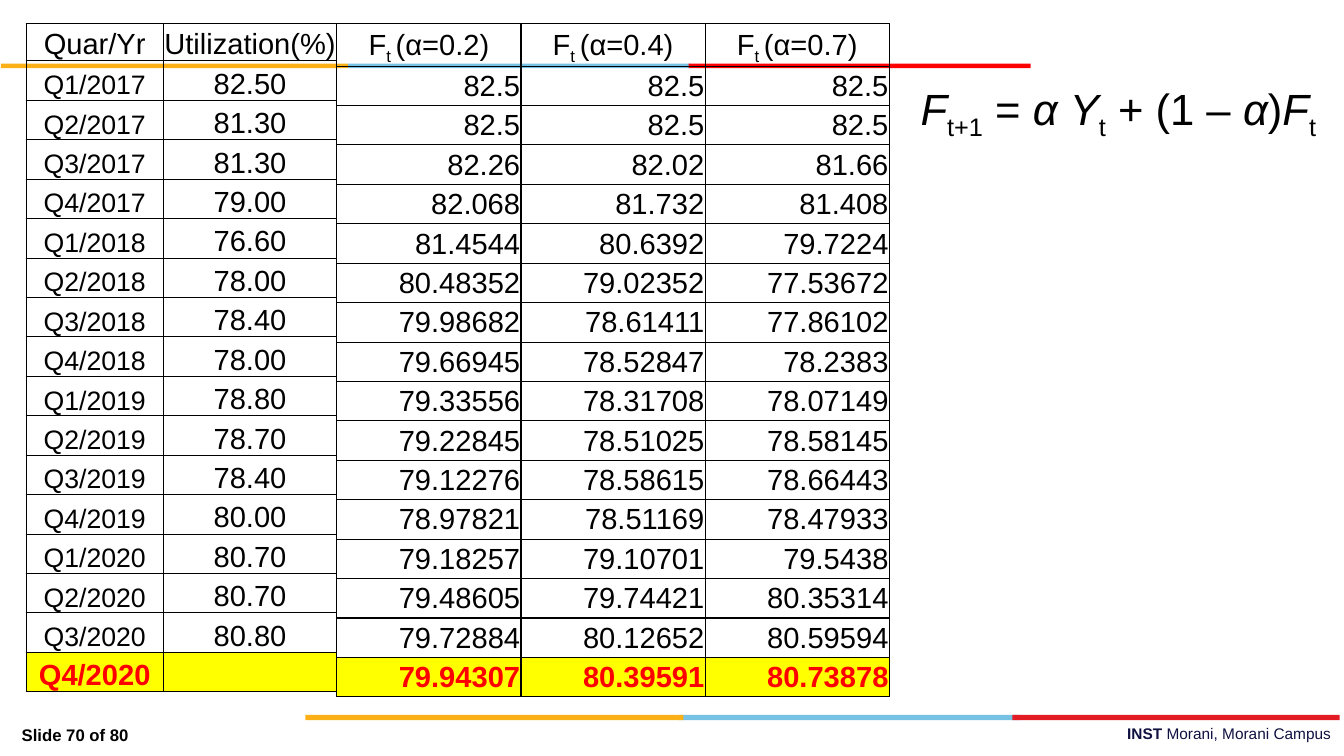
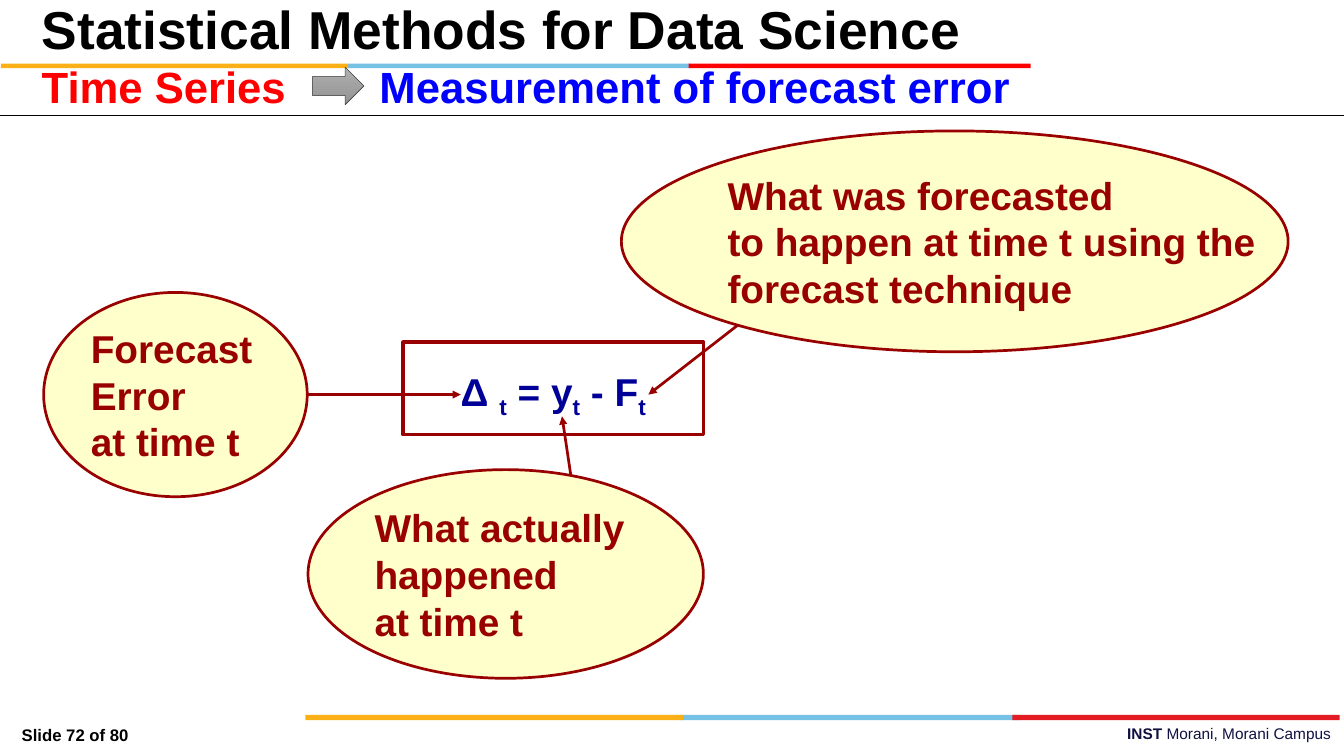
from lxml import etree
from pptx import Presentation
from pptx.dml.color import RGBColor
from pptx.enum.shapes import MSO_CONNECTOR, MSO_SHAPE
from pptx.enum.text import MSO_ANCHOR, MSO_AUTO_SIZE, PP_ALIGN
from pptx.oxml.ns import qn
from pptx.util import Inches, Pt

LEFT, CENTER, RIGHT = PP_ALIGN.LEFT, PP_ALIGN.CENTER, PP_ALIGN.RIGHT
TOP, MIDDLE, BOTTOM = MSO_ANCHOR.TOP, MSO_ANCHOR.MIDDLE, MSO_ANCHOR.BOTTOM
RECT, ELLIPSE, ARROW = MSO_SHAPE.RECTANGLE, MSO_SHAPE.OVAL, MSO_SHAPE.RIGHT_ARROW
STRAIGHT = MSO_CONNECTOR.STRAIGHT
NO_FIT = MSO_AUTO_SIZE.NONE

WIDTH, HEIGHT = 15.4, 8.66
TABLE_TOP, TABLE_HEIGHT, HEAD_HEIGHT = 0.27, 7.65, 0.42
FONT = "Arial"
BLACK, WHITE, RED, BLUE = "000000", "FFFFFF", "FF0000", "0000FF"
GOLD, SKY, CRIMSON, NAVY = "FCB017", "76C2E5", "E31C24", "101141"
MAROON, CREAM, INK, YELLOW = "990000", "FFFFCC", "000099", "FFFF00"
SILVER, GRAY, CHARCOAL = "AFAFAF", "939393", "404040"

BANDS = [
    (0.73, 0.05, [(3.99, 3.92, SKY), (0.01, 3.98, GOLD), (7.89, 3.92, RED)]),
    (8.19, 0.06, [(7.78, 3.91, SKY), (11.6, 3.75, CRIMSON), (3.5, 4.33, GOLD)]),
]
CAMPUS = [("INST ", "b"), ("Morani, Morani Campus", "")]

UTILIZATION = [82.5, 81.3, 81.3, 79, 76.6, 78, 78.4, 78, 78.8, 78.7, 78.4,
               80, 80.7, 80.7, 80.8]
QUARTERS = [f"Q{q}/{year}" for year in range(2017, 2021) for q in range(1, 5)]
ALPHAS = [0.2, 0.4, 0.7]
SMOOTHING = [("F", "i"), ("t+1", "s"), (" = ", ""), ("α Y", "i"), ("t", "s"),
             (" + (1 – ", ""), ("α", "i"), (")", ""), ("F", "i"), ("t", "s")]

COURSE = "Statistical Methods for Data Science"
TOPIC = [("Time Series", 0.38, 3.28, RED),
         ("Measurement of forecast error", 4.25, 10.8, BLUE)]
ERROR = [("Δ ", "b"), ("t", "bs"), (" = y", "b"), ("t", "bs"), (" - F", "b"), ("t", "bs")]
CALLOUTS = [
    (["What actually", "happened", "at time t"],
     (3.53, 5.38, 4.53, 2.39), (6.54, 5.44), (6.44, 4.77)),
    (["What was forecasted", "to happen at time t using the", "forecast technique"],
     (7.12, 1.5, 7.64, 2.53), (8.73, 3.51), (7.43, 4.52)),
    (["Forecast", "Error", "at time t"],
     (0.5, 3.35, 3.02, 2.34), (3.53, 4.52), (5.28, 4.52)),
]


def rgb(value):
    return RGBColor.from_string(value)


def box(left, top, width, height):
    return [Inches(n) for n in (left, top, width, height)]


def write(paragraph, runs, size, color, align=LEFT):
    paragraph.alignment = align
    for text, marks in runs:
        run = paragraph.add_run()
        run.text = text
        font = run.font
        font.name, font.size = FONT, Pt(size)
        font.bold, font.italic = "b" in marks, "i" in marks
        font.color.rgb = rgb(color)
        if "s" in marks:
            run._r.get_or_add_rPr().set("baseline", "-25000")


def add_text(slide, place, runs, size, color, align=LEFT):
    frame = slide.shapes.add_textbox(*box(*place)).text_frame
    frame.word_wrap = True
    write(frame.paragraphs[0], runs, size, color, align)


def add_figure(slide, kind, place, fill, line=None, weight=0):
    figure = slide.shapes.add_shape(kind, *box(*place))
    figure.shadow.inherit = False
    figure.fill.solid()
    figure.fill.fore_color.rgb = rgb(fill)
    if line:
        figure.line.color.rgb = rgb(line)
        figure.line.width = Pt(weight)
    else:
        figure.line.fill.background()
    return figure


def add_rule(slide, start, end, color, weight, arrow=False):
    rule = slide.shapes.add_connector(STRAIGHT, *box(*start, *end))
    rule.line.color.rgb = rgb(color)
    rule.line.width = Pt(weight)
    if arrow:
        etree.SubElement(rule.line._get_or_add_ln(), qn("a:tailEnd"), type="triangle")
    etree.SubElement(rule._element.spPr, qn("a:effectLst"))


def add_furniture(slide, number):
    for top, height, parts in BANDS:
        for left, width, color in parts:
            add_figure(slide, RECT, (left, top, width, height), color)
    add_text(slide, (5.5, 8.24, 9.85, 0.31), CAMPUS, 12.7, NAVY, RIGHT)
    add_text(slide, (0.15, 8.25, 2.53, 0.31), [(f"Slide {number} of 80", "b")], 13.8, BLACK)


def outline(cell):
    props = cell._tc.get_or_add_tcPr()
    for side in ("a:lnL", "a:lnR", "a:lnT", "a:lnB"):
        border = etree.SubElement(props, qn(side), w=str(Pt(1)))
        paint = etree.SubElement(border, qn("a:solidFill"))
        etree.SubElement(paint, qn("a:srgbClr"), val=BLACK)


def add_columns(slide, left, columns):
    rows = len(QUARTERS) + 1
    body_height = (TABLE_HEIGHT - HEAD_HEIGHT) / len(QUARTERS)
    place = box(left, TABLE_TOP, sum(column["width"] for column in columns), TABLE_HEIGHT)
    table = slide.shapes.add_table(rows, len(columns), *place).table
    table.first_row = table.horz_banding = False
    for r, row in enumerate(table.rows):
        row.height = Inches(body_height if r else HEAD_HEIGHT)
    for c, column in enumerate(columns):
        table.columns[c].width = Inches(column["width"])
        for r, value in enumerate([column["head"]] + column["values"]):
            header, forecast = r == 0, r == rows - 1
            cell = table.cell(r, c)
            outline(cell)
            inset = 0 if header else column["inset"]
            cell.margin_left = cell.margin_right = cell.margin_top = Inches(inset)
            cell.margin_bottom = 0
            cell.vertical_anchor = BOTTOM if header else column["anchor"]
            if forecast:
                cell.fill.solid()
                cell.fill.fore_color.rgb = rgb(YELLOW)
            else:
                cell.fill.background()
            paragraph = cell.text_frame.paragraphs[0]
            if header or column["spaced"] or (forecast and column["anchor"] == BOTTOM):
                paragraph.line_spacing, paragraph.space_after = 1.07, Pt(8)
            if value:
                runs = value if header else [(value, "b" if forecast else "")]
                write(paragraph, runs, 24 if header or forecast else column["size"],
                      RED if forecast else BLACK, CENTER if header else column["align"])


def smooth(alpha):
    forecasts = UTILIZATION[:1]
    for actual in UTILIZATION:
        forecasts.append(alpha * actual + (1 - alpha) * forecasts[-1])
    return [str(round(forecast, 5)) for forecast in forecasts]


def build_forecast_table(deck):
    slide = deck.slides.add_slide(deck.slide_layouts[6])
    add_furniture(slide, 70)
    add_columns(slide, 0.3, [
        dict(head=[("Quar/Yr", "")], values=QUARTERS, width=1.57, size=22,
             align=CENTER, anchor=BOTTOM, inset=0, spaced=False),
        dict(head=[("Utilization(%)", "")], values=[f"{y:.2f}" for y in UTILIZATION] + [""],
             width=1.99, size=24, align=CENTER, anchor=BOTTOM, inset=0.01, spaced=True),
    ])
    for i, alpha in enumerate(ALPHAS):
        head = [("F", ""), ("t ", "s"), (f"(α={alpha})", "")]
        add_columns(slide, 3.86 + i * 2.11, [
            dict(head=head, values=smooth(alpha), width=2.11, size=24,
                 align=RIGHT, anchor=MIDDLE, inset=0.01, spaced=False)])
    add_text(slide, (10.45, 0.89, 4.9, 0.71), SMOOTHING, 36, BLACK)


def build_forecast_error(deck):
    slide = deck.slides.add_slide(deck.slide_layouts[5])
    add_furniture(slide, 72)

    formula = add_figure(slide, RECT, (4.62, 3.92, 3.44, 1.06), WHITE, MAROON, 3).text_frame
    formula.word_wrap = False
    formula.vertical_anchor = MIDDLE
    formula.margin_top = Inches(0.17)
    write(formula.paragraphs[0], ERROR, 32, INK, CENTER)

    for lines, place, start, end in CALLOUTS:
        add_rule(slide, start, end, MAROON, 2.25, arrow=True)
        frame = add_figure(slide, ELLIPSE, place, CREAM, MAROON, 2.25).text_frame
        frame.word_wrap = False
        frame.vertical_anchor = MIDDLE
        for i, text in enumerate(lines):
            paragraph = frame.add_paragraph() if i else frame.paragraphs[0]
            write(paragraph, [(text, "b")], 32, MAROON)

    for text, left, width, color in TOPIC:
        add_text(slide, (left, 0.64, width, 0.66), [(text, "b")], 36, color)
    pointer = add_figure(slide, ARROW, (3.58, 0.77, 0.59, 0.43), SILVER, CHARCOAL, 0.5)
    pointer.fill.gradient()
    pointer.fill.gradient_angle = 270
    for stop, color in zip(pointer.fill.gradient_stops, (SILVER, GRAY)):
        stop.color.rgb = rgb(color)

    title = slide.shapes.title
    title.left, title.top, title.width, title.height = box(0.38, 0, 12.66, 0.68)
    frame = title.text_frame
    frame.auto_size, frame.word_wrap, frame.vertical_anchor = NO_FIT, True, TOP
    frame.margin_top = Inches(0.04)
    frame.paragraphs[0].line_spacing = 0.9
    write(frame.paragraphs[0], [(COURSE, "b")], 44, BLACK)
    add_rule(slide, (0, 1.32), (WIDTH, 1.32), BLACK, 1)


def main():
    deck = Presentation()
    deck.slide_width, deck.slide_height = Inches(WIDTH), Inches(HEIGHT)
    build_forecast_table(deck)
    build_forecast_error(deck)
    deck.save("out.pptx")


if __name__ == "__main__":
    main()
